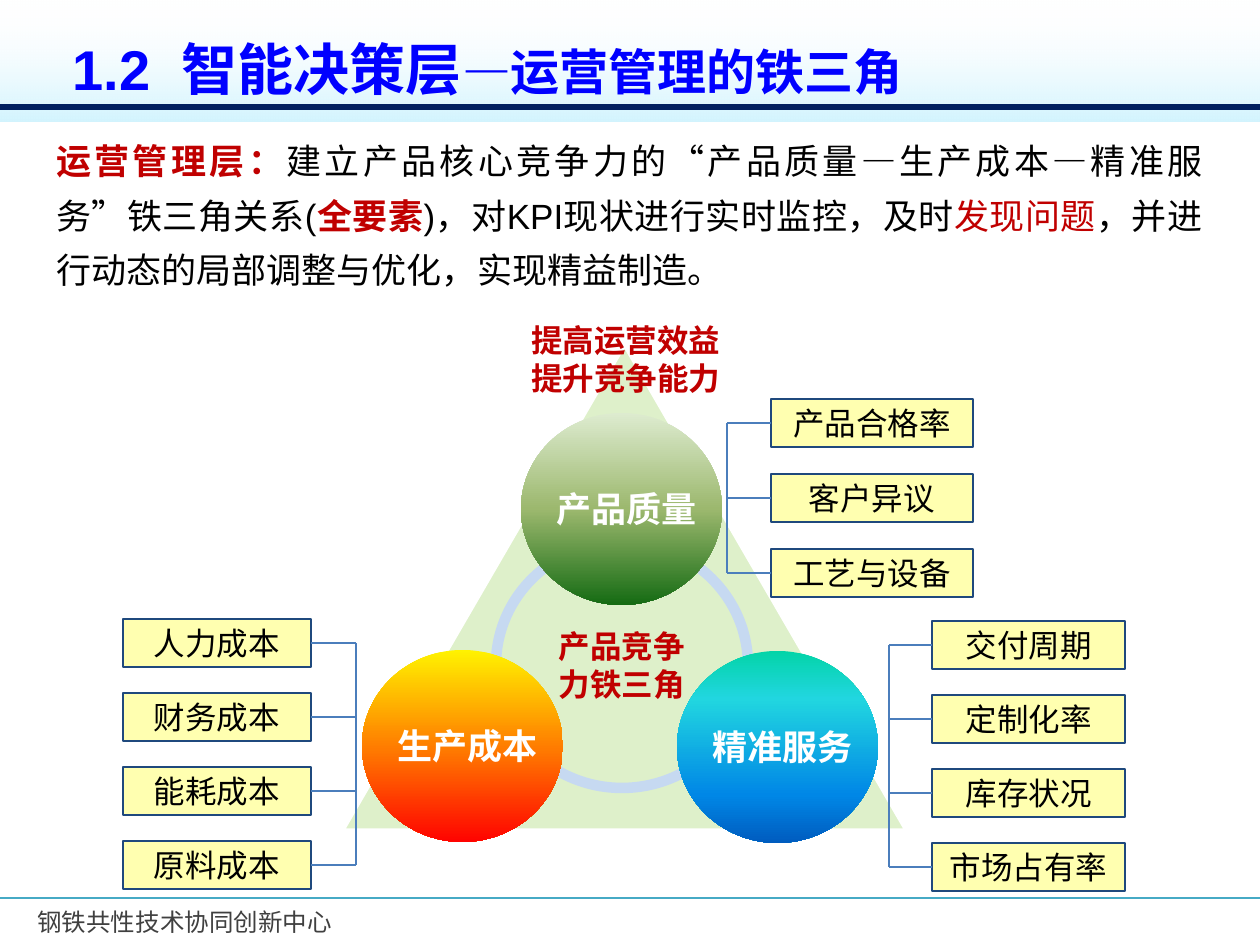
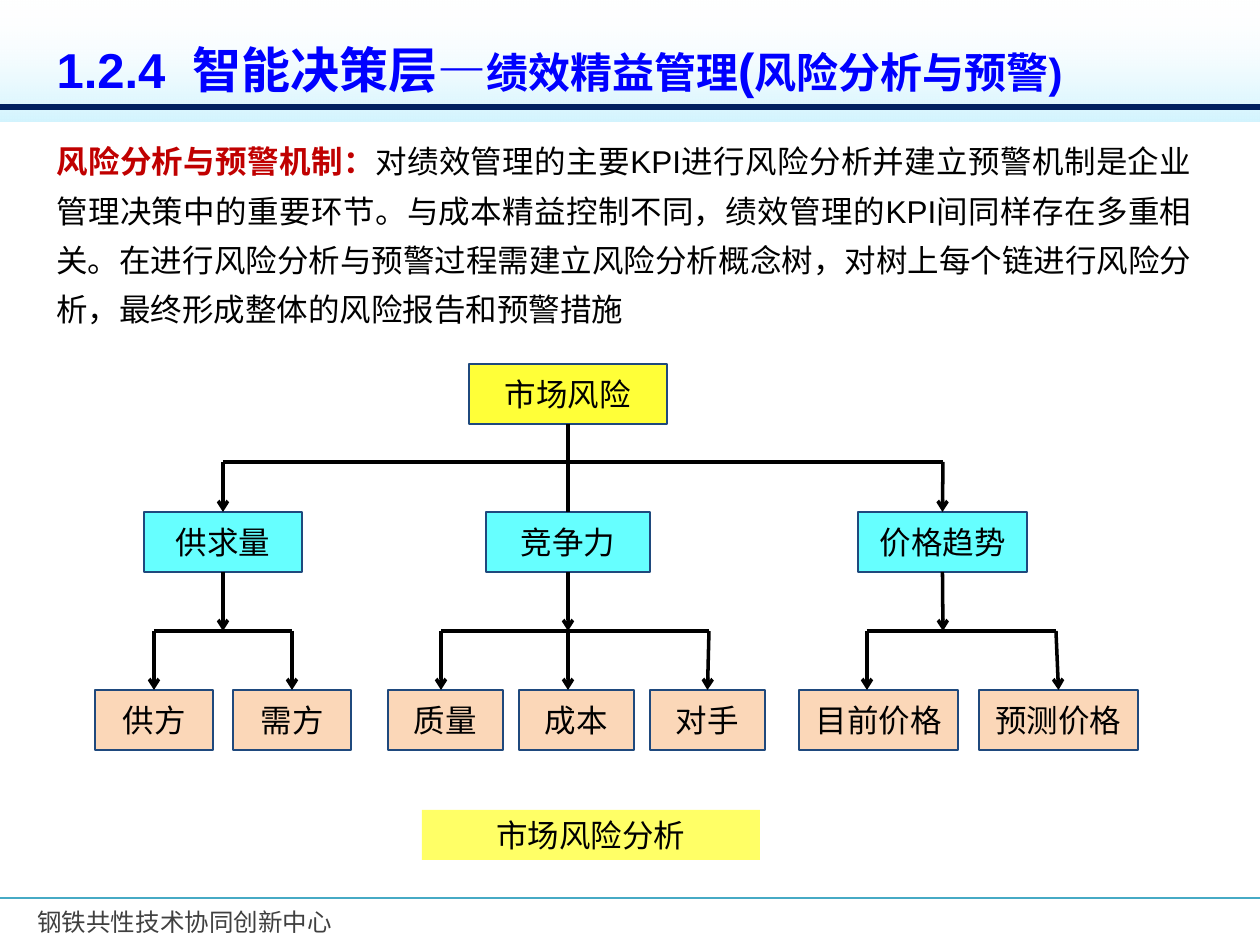
from dataclasses import dataclass
from typing import Any, Optional

from lxml.etree import SubElement
from pptx import Presentation
from pptx.dml.color import RGBColor
from pptx.enum.shapes import MSO_CONNECTOR, MSO_SHAPE
from pptx.enum.text import MSO_ANCHOR, MSO_AUTO_SIZE, PP_ALIGN
from pptx.oxml.ns import qn
from pptx.util import Emu, Pt

SCALE = 914400 / 126
PAGE_WIDTH, PAGE_HEIGHT = 1260, 945
TOP, LEFT, BOTTOM, RIGHT = 0, 1, 2, 3
LATIN, CHINESE = "Arial", "Noto Sans CJK SC"
COLORS = {
    "black": "000000", "white": "FFFFFF", "red": "C00000", "title": "0000FF",
    "footer": "404040", "footer_rule": "46AAC5", "band": "B6EDFE", "navy": "002060",
    "triangle": "92D050", "ring": "C6D9F1", "outline": "1F497D", "bracket": "4B7EBC",
    "yellow": "FFFF00", "caption": "FFFF66", "cyan": "66FFFF", "peach": "FAC090",
}


@dataclass(frozen=True)
class Span:
    text: str
    size: int = 18
    color: str = "black"
    bold: bool = False
    font: str = LATIN
    spacing: int = 0


@dataclass(frozen=True)
class Circle:
    text: str
    left: int
    top: int
    stops: tuple[tuple[int, str], ...]


@dataclass(frozen=True)
class Bracket:
    labels: tuple[str, ...]
    left: int
    top: int
    width: int
    step: int
    spine: int
    side: int


@dataclass(frozen=True)
class Node:
    text: str
    left: int
    width: int
    port: int
    arrow: bool = True


@dataclass(frozen=True)
class Branch:
    parent: Node
    children: tuple[Node, ...]


CIRCLES = (
    Circle("产品质量", 521, 413, ((0, "DDEBCF"), (50, "9CB86E"), (100, "156B13"))),
    Circle("生产成本", 362, 650, ((0, "FFF200"), (52, "FF7A00"), (100, "FF0300"))),
    Circle("精准服务", 677, 651,
           ((0, "03D4A8"), (25, "21D6E0"), (75, "0087E6"), (100, "005CBF"))),
)
BRACKETS = (
    Bracket(("人力成本", "财务成本", "能耗成本", "原料成本"), 123, 619, 188, 74, 356, RIGHT),
    Bracket(("产品合格率", "客户异议", "工艺与设备"), 771, 399, 202, 75, 727, LEFT),
    Bracket(("交付周期", "定制化率", "库存状况", "市场占有率"), 932, 621, 193, 74, 889, LEFT),
)
ROOT = Node("市场风险", 469, 198, 568)
BRANCHES = (
    Branch(Node("供求量", 144, 158, 223),
           (Node("供方", 95, 118, 154), Node("需方", 233, 118, 292))),
    Branch(Node("竞争力", 486, 164, 568, arrow=False),
           (Node("质量", 388, 115, 441), Node("成本", 519, 115, 568),
            Node("对手", 650, 115, 709))),
    Branch(Node("价格趋势", 858, 169, 943),
           (Node("目前价格", 799, 159, 867), Node("预测价格", 979, 159, 1056))),
)


def px(length: float) -> Emu:
    return Emu(round(length * SCALE))


def rgb(name: str) -> RGBColor:
    return RGBColor.from_string(COLORS[name])


def apply(target: Any, values: dict[str, Any]) -> None:
    for name, value in values.items():
        setattr(target, name, value)


def write(box: Any, paragraphs: list[list[Span]], align: PP_ALIGN = PP_ALIGN.LEFT,
          line_spacing: float = 1.0, **frame_format: Any) -> None:
    frame = box.text_frame
    apply(frame, {"word_wrap": True, **frame_format})
    for index, spans in enumerate(paragraphs):
        para = frame.add_paragraph() if index else frame.paragraphs[0]
        apply(para, {"alignment": align, "line_spacing": line_spacing})
        for span in spans:
            run = para.add_run()
            run.text = span.text
            apply(run.font, {"size": Pt(span.size), "bold": span.bold, "name": span.font})
            run.font.color.rgb = rgb(span.color)
            properties = run._r.get_or_add_rPr()
            SubElement(properties, qn("a:ea"), typeface=CHINESE)
            if span.spacing:
                properties.set("spc", str(span.spacing))


def add_text(page: Any, bounds: tuple[int, int, int, int], paragraphs: list[list[Span]],
             **text_format: Any) -> None:
    write(page.shapes.add_textbox(*map(px, bounds)), paragraphs, **text_format)


def add_box(page: Any, kind: MSO_SHAPE, bounds: tuple[int, int, int, int],
            fill: Optional[str] = None, alpha: int = 100,
            line: Optional[str] = None, line_width: float = 0.75) -> Any:
    box = page.shapes.add_shape(kind, *map(px, bounds))
    box.shadow.inherit = False
    if fill:
        box.fill.solid()
        box.fill.fore_color.rgb = rgb(fill)
        if alpha < 100:
            color = box.fill._xPr.find(qn("a:solidFill"))[0]
            SubElement(color, qn("a:alpha"), val=str(alpha * 1000))
    else:
        box.fill.background()
    if line:
        box.line.color.rgb = rgb(line)
        box.line.width = Pt(line_width)
    else:
        box.line.fill.background()
    return box


def set_gradient(box: Any, stops: tuple[tuple[int, str, int], ...], angle: int) -> None:
    box.fill.gradient()
    gradient = box.fill._xPr.find(qn("a:gradFill"))
    for child in list(gradient):
        gradient.remove(child)
    stop_list = SubElement(gradient, qn("a:gsLst"))
    for position, color, alpha in stops:
        stop = SubElement(stop_list, qn("a:gs"), pos=str(position * 1000))
        value = SubElement(stop, qn("a:srgbClr"), val=color)
        if alpha < 100:
            SubElement(value, qn("a:alpha"), val=str(alpha * 1000))
    SubElement(gradient, qn("a:lin"), ang=str(angle * 60000), scaled="1")


def add_line(page: Any, start: tuple[float, float], end: tuple[float, float], color: str,
             width: float, arrow: bool = False) -> Any:
    line = page.shapes.add_connector(MSO_CONNECTOR.STRAIGHT, *map(px, (*start, *end)))
    line.line.color.rgb = rgb(color)
    line.line.width = Pt(width)
    if arrow:
        SubElement(line.line._get_or_add_ln(), qn("a:tailEnd"), type="arrow")
    SubElement(line._element.spPr, qn("a:effectLst"))
    return line


def add_label(page: Any, text: str, bounds: tuple[int, int, int, int], fill: str,
              alpha: int = 100) -> Any:
    box = add_box(page, MSO_SHAPE.RECTANGLE, bounds, fill, alpha, "outline")
    write(box, [[Span(text)]], align=PP_ALIGN.CENTER, word_wrap=False,
          vertical_anchor=MSO_ANCHOR.MIDDLE)
    return box


def add_page(deck: Any, title_bounds: tuple[int, int, int, int], title: list[Span]) -> Any:
    page = deck.slides.add_slide(deck.slide_layouts[5])
    add_text(page, (25, 900, 517, 43), [[Span("钢铁共性技术协同创新中心", 14, "footer", font=CHINESE)]],
             vertical_anchor=MSO_ANCHOR.MIDDLE)
    add_line(page, (0, 898), (PAGE_WIDTH, 898), "footer_rule", 1)
    band = add_box(page, MSO_SHAPE.RECTANGLE, (0, 0, PAGE_WIDTH, 122))
    set_gradient(band, ((0, COLORS["band"], 61), (100, COLORS["white"], 0)), 270)
    add_line(page, (0, 107), (PAGE_WIDTH, 107), "navy", 3)
    heading = page.shapes.title
    heading.element.getparent().append(heading.element)
    apply(heading, dict(zip(("left", "top", "width", "height"), map(px, title_bounds))))
    write(heading, [title], vertical_anchor=MSO_ANCHOR.TOP, auto_size=MSO_AUTO_SIZE.NONE)
    return page


def add_bracket(page: Any, bracket: Bracket) -> None:
    height = 48
    middles = [bracket.top + index * bracket.step + height // 2
               for index in range(len(bracket.labels))]
    add_line(page, (bracket.spine, middles[0]), (bracket.spine, middles[-1]), "bracket", 1.5)
    for label, middle in zip(bracket.labels, middles):
        bounds = (bracket.left, middle - height // 2, bracket.width, height)
        box = add_label(page, label, bounds, "yellow", 31)
        edge = bracket.left + (bracket.width if bracket.side == RIGHT else 0)
        stub = add_line(page, (edge, middle), (bracket.spine, middle), "bracket", 1.5)
        stub.begin_connect(box, bracket.side)


def add_node(page: Any, node: Node, top: int, fill: str, alpha: int = 100) -> Any:
    return add_label(page, node.text, (node.left, top, node.width, 60), fill, alpha)


def meets_middle(node: Node) -> bool:
    return abs(node.left + node.width / 2 - node.port) <= 3


def add_fork(page: Any, parent: Node, parent_box: Any, children: tuple[Node, ...],
             child_boxes: list[Any], levels: tuple[int, int, int], stem_arrow: bool) -> None:
    start, bus, end = levels
    stem = add_line(page, (parent.port, start), (parent.port, bus), "black", 2, stem_arrow)
    stem.begin_connect(parent_box, BOTTOM)
    add_line(page, (children[0].port, bus), (children[-1].port, bus), "black", 2)
    for child, box in zip(children, child_boxes):
        drop = add_line(page, (child.port, bus), (child.port, end), "black", 2, child.arrow)
        if meets_middle(child):
            drop.end_connect(box, TOP)


def build_triangle_page(deck: Any) -> None:
    page = add_page(deck, (60, 28, 1181, 81), [
        Span("1.2", 32, "title", True), Span(" ", 32, "title", True, spacing=890),
        Span("智能决策层", 32, "title", True), Span("—运营管理的铁三角", 28, "title", True)])
    add_box(page, MSO_SHAPE.ISOSCELES_TRIANGLE, (343, 345, 563, 485), "triangle", 30, "white", 2)
    ring = add_box(page, MSO_SHAPE.OVAL, (496, 542, 252, 246), line="ring", line_width=6)
    write(ring, [[Span("产品竞争力铁三角", 18, "red", True, CHINESE)]], align=PP_ALIGN.CENTER,
          vertical_anchor=MSO_ANCHOR.MIDDLE)
    for circle in CIRCLES:
        ball = add_box(page, MSO_SHAPE.OVAL, (circle.left, circle.top, 201, 192))
        set_gradient(ball, tuple((*stop, 100) for stop in circle.stops), 90)
        write(ball, [[Span(circle.text, 20, "white", True, CHINESE)]], align=PP_ALIGN.CENTER,
              word_wrap=False, vertical_anchor=MSO_ANCHOR.MIDDLE, margin_left=px(10),
              margin_top=0, margin_right=0, margin_bottom=0)
    add_text(page, (44, 121, 1171, 178), [[
        Span("运营管理层：", 20, "red", True),
        Span("建立产品核心竞争力的“产品质量—生产成本—精准服务”铁三角关系(", 20),
        Span("全要素", 20, "red", True, CHINESE),
        Span(")，对KPI现状进行实时监控，及时", 20), Span("发现问题", 20, "red"),
        Span("，并进行动态的局部调整与优化，实现精益制造。", 20)]],
        align=PP_ALIGN.JUSTIFY, line_spacing=1.3)
    for bracket in BRACKETS:
        add_bracket(page, bracket)
    add_text(page, (519, 315, 231, 89), [
        [Span(text, 18, "red", True)] for text in ("提高运营效益", "提升竞争能力")])


def build_risk_page(deck: Any) -> None:
    page = add_page(deck, (44, 33, 1181, 72), [
        Span("1.2.4", 28, "title", True), Span(" ", 28, "title", True, spacing=780),
        Span("智能决策层—", 28, "title", True), Span("绩效精益管理", 24, "title", True),
        Span("(", 28, "title", True), Span("风险分析与预警)", 24, "title", True)])
    add_text(page, (44, 125, 1160, 212), [[
        Span("风险分析与预警机制：", 18, "red", True),
        Span("对绩效管理的主要KPI进行风险分析并建立预警机制是企业管理决策中的重要环节。"
             "与成本精益控制不同，绩效管理的KPI间同样存在多重相关。"
             "在进行风险分析与预警过程需建立风险分析概念树，"
             "对树上每个链进行风险分析，最终形成整体的风险报告和预警措施")]],
        align=PP_ALIGN.JUSTIFY, line_spacing=1.3)
    caption = add_box(page, MSO_SHAPE.RECTANGLE, (422, 810, 338, 50), "caption")
    write(caption, [[Span("市场风险分析")]], align=PP_ALIGN.CENTER,
          vertical_anchor=MSO_ANCHOR.MIDDLE)
    root_box = add_node(page, ROOT, 364, "yellow", 78)
    parents = tuple(branch.parent for branch in BRANCHES)
    parent_boxes = [add_node(page, parent, 512, "cyan") for parent in parents]
    add_fork(page, ROOT, root_box, parents, parent_boxes, (424, 462, 512), False)
    for branch, parent_box in zip(BRANCHES, parent_boxes):
        child_boxes = [add_node(page, child, 690, "peach", 63) for child in branch.children]
        add_fork(page, branch.parent, parent_box, branch.children, child_boxes,
                 (572, 631, 690), True)


def main() -> None:
    deck = Presentation()
    apply(deck, {"slide_width": px(PAGE_WIDTH), "slide_height": px(PAGE_HEIGHT)})
    build_triangle_page(deck)
    build_risk_page(deck)
    deck.save("out.pptx")


if __name__ == "__main__":
    main()
